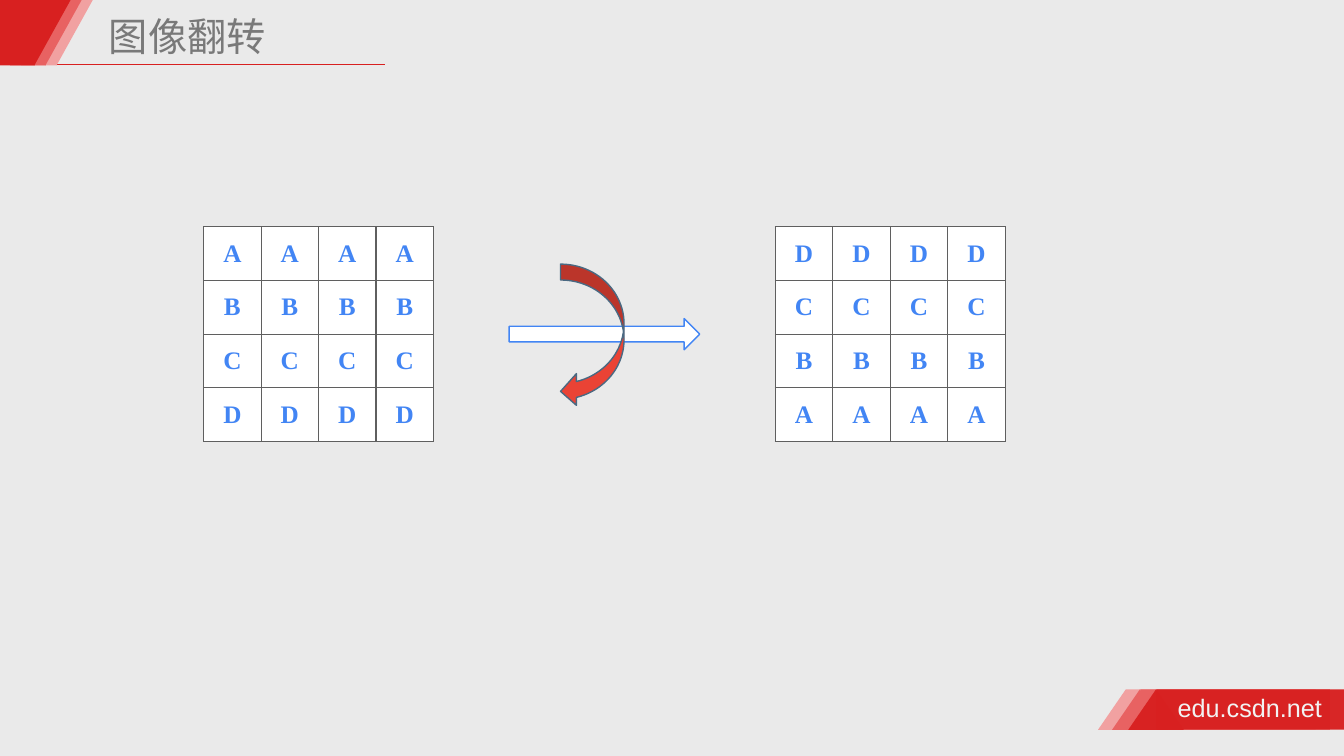
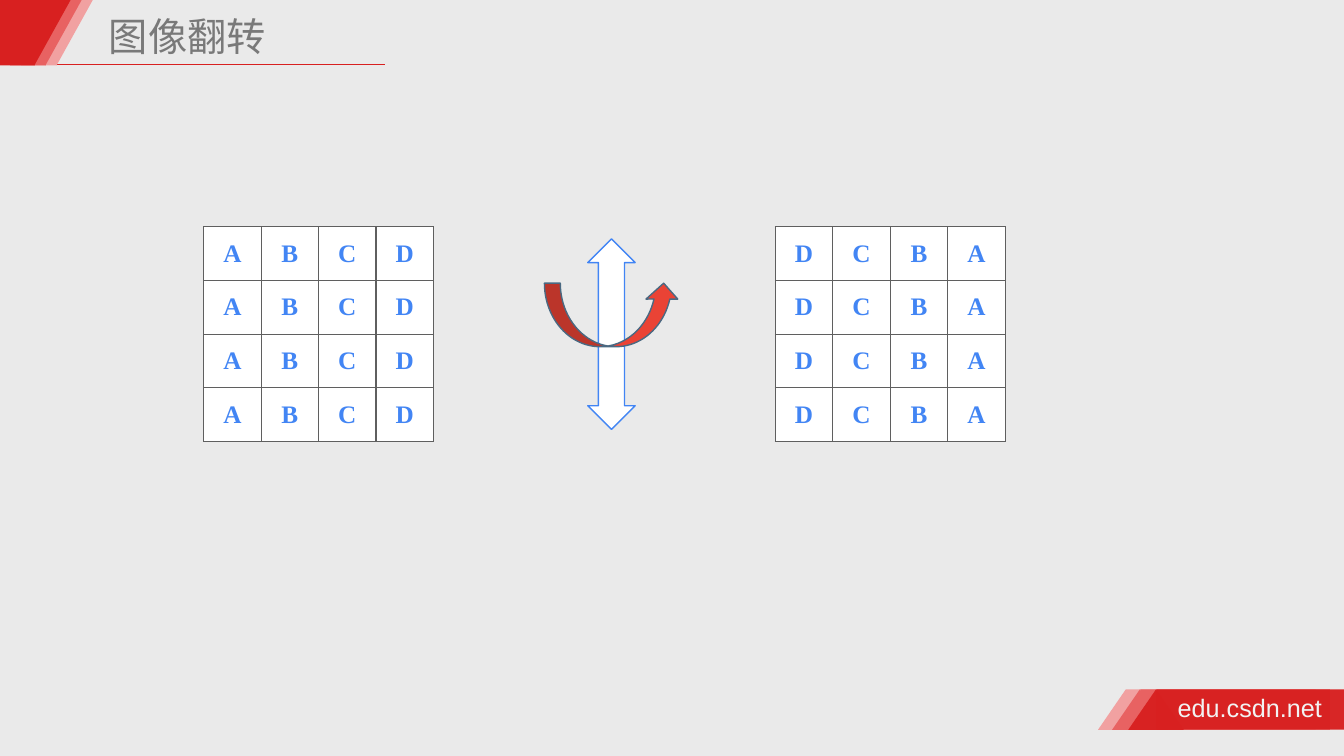
from dataclasses import dataclass

from lxml.etree import SubElement
from pptx import Presentation
from pptx.dml.color import RGBColor
from pptx.enum.shapes import MSO_CONNECTOR, MSO_SHAPE
from pptx.enum.text import MSO_ANCHOR, PP_ALIGN
from pptx.oxml.ns import qn
from pptx.util import Inches, Pt


@dataclass(frozen=True)
class Theme:
    back: str = "EAEAEA"
    bands: tuple = ("F1A1A1", "E86262", "D82020")
    title: str = "797979"
    foot: str = "F2F2F2"
    grid: str = "5F5F5F"
    blue: str = "4285F4"
    turn: str = "EA4335"
    edge: str = "4A6982"
    white: str = "FFFFFF"
    head_font: str = "Noto Sans CJK SC"
    foot_font: str = "Arial"
    cell_font: str = "Times New Roman"
    head_size: int = 28
    text_size: int = 18
    stroke: int = 1


T = Theme()
TITLE = "图像翻转"
SITE = "edu.csdn.net"
LETTERS = "ABCD"
SIZE = len(LETTERS)

ROWS = [letter * SIZE for letter in LETTERS]
COLS = [LETTERS] * SIZE

# Each slide: grid before, grid after, mirror axis, turning arrow
# An arrow is (preset, box, adjustments)
SLIDES = [
    (ROWS, ROWS[::-1],
     (MSO_SHAPE.RIGHT_ARROW, (5.05, 3.16, 1.89, 0.31), ()),
     (MSO_SHAPE.CURVED_LEFT_ARROW, (5.56, 2.62, 0.63, 1.42), ())),
    (COLS, [row[::-1] for row in COLS],
     (MSO_SHAPE.UP_DOWN_ARROW, (5.83, 2.37, 0.47, 1.89), (0.36, 0.548)),
     (MSO_SHAPE.CURVED_UP_ARROW, (5.4, 2.81, 1.34, 0.63), ())),
]

GRID_LEFTS = (2.02, 7.69)
GRID_TOP, GRID_W, GRID_H = 2.25, 2.28, 2.13
TOP_BANDS = (0.21, 0.1, -0.01)
FOOT_BANDS = (11.17, 11.31, 11.47)
FOOT_TOP, FOOT_H = 6.84, 0.4


def rgb(code):
    return RGBColor.from_string(code)


def inch(*box):
    return [Inches(v) for v in box]


def style(para, font, size, color, bold=False):
    for run in para.runs:
        run.font.name = font
        run.font.size = Pt(size)
        run.font.bold = bold
        run.font.color.rgb = rgb(color)
        SubElement(run.font._element, qn("a:ea"), typeface=font)


def pad(frame, gap):
    frame.margin_left = frame.margin_right = Inches(gap)
    frame.margin_top = frame.margin_bottom = Inches(gap)


def draw(slide, kind, box, fill, line=None, adjust=()):
    shape = slide.shapes.add_shape(kind, *inch(*box))
    shape.shadow.inherit = False
    shape.fill.solid()
    shape.fill.fore_color.rgb = rgb(fill)
    if line:
        shape.line.color.rgb = rgb(line)
        shape.line.width = Pt(T.stroke)
    else:
        shape.line.fill.background()
    for i, value in enumerate(adjust):
        shape.adjustments[i] = value
    return shape


def frame(slide):
    """Draw the rule, corner bands and footer found on every slide."""
    rule = slide.shapes.add_connector(
        MSO_CONNECTOR.STRAIGHT, *inch(0.49, 0.64, 3.82, 0.64))
    rule.line.color.rgb = rgb(T.bands[-1])
    rule.line.width = Pt(T.stroke)
    SubElement(rule._element.spPr, qn("a:effectLst"))

    for x, color in zip(FOOT_BANDS, T.bands):
        parts = ((MSO_SHAPE.RECTANGLE, x, 1.88),
                 (MSO_SHAPE.ISOSCELES_TRIANGLE, x - 0.28, 0.55))
        for kind, left, wide in parts:
            part = draw(slide, kind, (left, FOOT_TOP, wide, FOOT_H), color)
            if color == T.bands[-1]:
                tint = part._element.spPr.find(
                    f"{qn('a:solidFill')}/{qn('a:srgbClr')}")
                SubElement(tint, qn("a:alpha"), val="97000")

    for x, color in zip(TOP_BANDS, T.bands):
        draw(slide, MSO_SHAPE.RECTANGLE, (x, 0, 0.35, 0.65), color)
        wedge = draw(slide, MSO_SHAPE.ISOSCELES_TRIANGLE,
                     (x - 0.01, 0, 0.72, 0.65), color)
        wedge.rotation = 180

    foot = slide.shapes.add_textbox(*inch(11.63, 6.82, 1.55, 0.4)).text_frame
    foot.word_wrap = False
    pad(foot, 0.05)
    foot.text = SITE
    style(foot.paragraphs[0], T.foot_font, T.text_size, T.foot)


def head(slide):
    title = slide.shapes.title
    title.left, title.top, title.width, title.height = inch(
        1.03, 0.12, 4.36, 0.53)
    text = title.text_frame
    text.text = TITLE
    text.word_wrap = True
    text.vertical_anchor = MSO_ANCHOR.MIDDLE
    pad(text, 0.05)
    para = text.paragraphs[0]
    para.alignment = PP_ALIGN.LEFT
    para.line_spacing = 0.9
    style(para, T.head_font, T.head_size, T.title)


def border(cell):
    props = cell._tc.get_or_add_tcPr()
    for side in ("lnL", "lnR", "lnT", "lnB"):
        line = SubElement(props, qn(f"a:{side}"), w=str(Pt(T.stroke)))
        fill = SubElement(line, qn("a:solidFill"))
        SubElement(fill, qn("a:srgbClr"), val=T.grid)


def grid(slide, left, rows):
    table = slide.shapes.add_table(
        SIZE, SIZE, *inch(left, GRID_TOP, GRID_W, GRID_H)).table
    table.first_row = table.horz_banding = False
    for r, row in enumerate(rows):
        for c, letter in enumerate(row):
            cell = table.cell(r, c)
            border(cell)
            cell.fill.solid()
            cell.fill.fore_color.rgb = rgb(T.white)
            cell.vertical_anchor = MSO_ANCHOR.MIDDLE
            pad(cell, 0)
            cell.text_frame.text = letter
            para = cell.text_frame.paragraphs[0]
            para.alignment = PP_ALIGN.CENTER
            style(para, T.cell_font, T.text_size, T.blue, bold=True)


def main():
    deck = Presentation()
    deck.slide_width, deck.slide_height = inch(13.33, 7.5)
    back = deck.slide_master.background.fill
    back.solid()
    back.fore_color.rgb = rgb(T.back)

    for before, after, axis, turn in SLIDES:
        slide = deck.slides.add_slide(deck.slide_layouts[5])
        frame(slide)
        head(slide)
        for left, rows in zip(GRID_LEFTS, (before, after)):
            grid(slide, left, rows)
        for (kind, box, adjust), fill, line in (
                (axis, T.white, T.blue), (turn, T.turn, T.edge)):
            draw(slide, kind, box, fill, line, adjust)

    deck.save("out.pptx")


if __name__ == "__main__":
    main()
